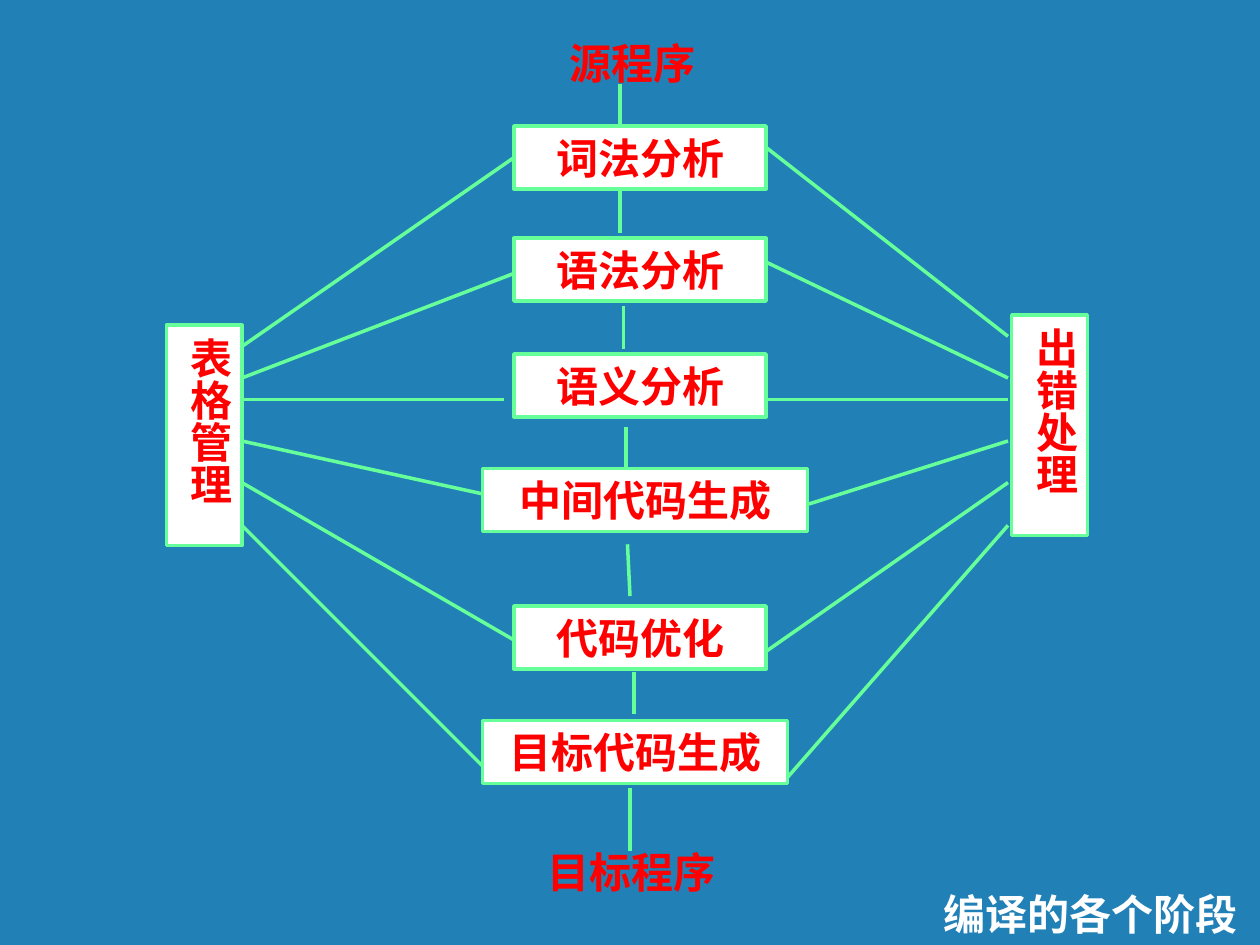
"""Builds a slide showing the phases of compilation."""
import pptx
import pptx.dml.color
import pptx.enum.shapes
import pptx.enum.text
import pptx.oxml.ns
import pptx.util
from lxml import etree
from pptx.util import Inches

COLORS = {"back": "2181B7", "box": "FFFFFF", "line": "66FF99", "text": "FF0000", "title": "FFFFFF"}
ALIGN = pptx.enum.text.PP_ALIGN
ANCHOR = pptx.enum.text.MSO_ANCHOR
TABLE_EDGE, ERROR_EDGE = 1.92, 8

# text, left, top, width
STAGES = [
    ("词法分析", 4.08, 1, 2),
    ("语法分析", 4.08, 1.89, 2),
    ("语义分析", 4.08, 2.81, 2),
    ("中间代码生成", 3.83, 3.72, 2.58),
    ("代码优化", 4.08, 4.81, 2),
    ("目标代码生成", 3.83, 5.72, 2.42),
]
FLOW_LINES = [
    (4.92, 0.67, 4.92, 1), (4.92, 1.52, 4.92, 1.85), (4.95, 2.43, 4.95, 2.77),
    (4.97, 3.39, 4.97, 3.72), (4.98, 4.32, 5, 4.73), (5.03, 5.33, 5.03, 5.67),
    (5, 6.25, 5, 6.75),
]
TABLE_LINKS = [(2.75, 4.08, 1.25), (3, 4.08, 2.17), (3.17, 4, 3.17),
               (3.5, 3.83, 3.92), (3.83, 4.08, 5.08), (4.17, 3.83, 6.08)]
ERROR_LINKS = [(2.67, 6.08, 1.17), (3, 6.08, 2.08), (3.17, 6.08, 3.17),
               (3.5, 6.42, 4), (3.83, 6.08, 5.17), (4.17, 6.25, 6.17)]


def color(name):
    return pptx.dml.color.RGBColor.from_string(COLORS[name])


def write(box, text, align, ink="text", anchor=ANCHOR.TOP):
    frame = box.text_frame
    frame.word_wrap = True
    frame.vertical_anchor = anchor
    para = frame.paragraphs[0]
    para.text = text
    para.alignment = align
    para.font.name = "Times New Roman"
    para.font.size = pptx.util.Pt(24)
    para.font.bold = True
    para.font.color.rgb = color(ink)


def add_label(page, text, left, top, width, align=ALIGN.LEFT, ink="text", anchor=ANCHOR.TOP):
    box = page.shapes.add_textbox(Inches(left), Inches(top), Inches(width), Inches(0.5))
    write(box, text, align, ink, anchor)


def add_box(page, text, left, top, width, height=0.5):
    box = page.shapes.add_shape(pptx.enum.shapes.MSO_SHAPE.RECTANGLE, Inches(left),
                                Inches(top), Inches(width), Inches(height))
    box.shadow.inherit = False
    box.fill.solid()
    box.fill.fore_color.rgb = color("box")
    box.line.color.rgb = color("line")
    box.line.width = pptx.util.Pt(2)
    write(box, text, ALIGN.CENTER)
    return box


def add_vertical_box(page, text, left, top):
    frame = add_box(page, text, left, top, 0.6, 1.75).text_frame
    frame.margin_left = frame.margin_right = Inches(0.05)
    frame.margin_top = frame.margin_bottom = Inches(0.1)
    frame._txBody.bodyPr.set("vert", "eaVert")


def add_line(page, x1, y1, x2, y2):
    line = page.shapes.add_connector(pptx.enum.shapes.MSO_CONNECTOR.STRAIGHT,
                                     Inches(x1), Inches(y1), Inches(x2), Inches(y2))
    line.line.color.rgb = color("line")
    line.line.width = pptx.util.Pt(2)
    etree.SubElement(line._element.spPr, pptx.oxml.ns.qn("a:effectLst"))


def main():
    deck = pptx.Presentation()
    deck.slide_width, deck.slide_height = Inches(10), Inches(7.5)
    page = deck.slides.add_slide(deck.slide_layouts[6])
    page.background.fill.solid()
    page.background.fill.fore_color.rgb = color("back")

    add_label(page, "目标程序", 4.25, 6.67, 1.75)
    add_label(page, "源程序", 4.42, 0.25, 1.25)
    for stage in STAGES:
        add_box(page, *stage)
    add_vertical_box(page, "表格管理", 1.32, 2.58)
    add_vertical_box(page, "出错处理", 8.03, 2.5)

    for ends in FLOW_LINES:
        add_line(page, *ends)
    for panel_y, stage_x, stage_y in TABLE_LINKS:
        add_line(page, TABLE_EDGE, panel_y, stage_x, stage_y)
    for panel_y, stage_x, stage_y in ERROR_LINKS:
        add_line(page, stage_x, stage_y, ERROR_EDGE, panel_y)

    add_label(page, "编译的各个阶段", 0.25, 7, 9.67, ALIGN.RIGHT, "title", ANCHOR.BOTTOM)
    deck.save("out.pptx")


if __name__ == "__main__":
    main()
